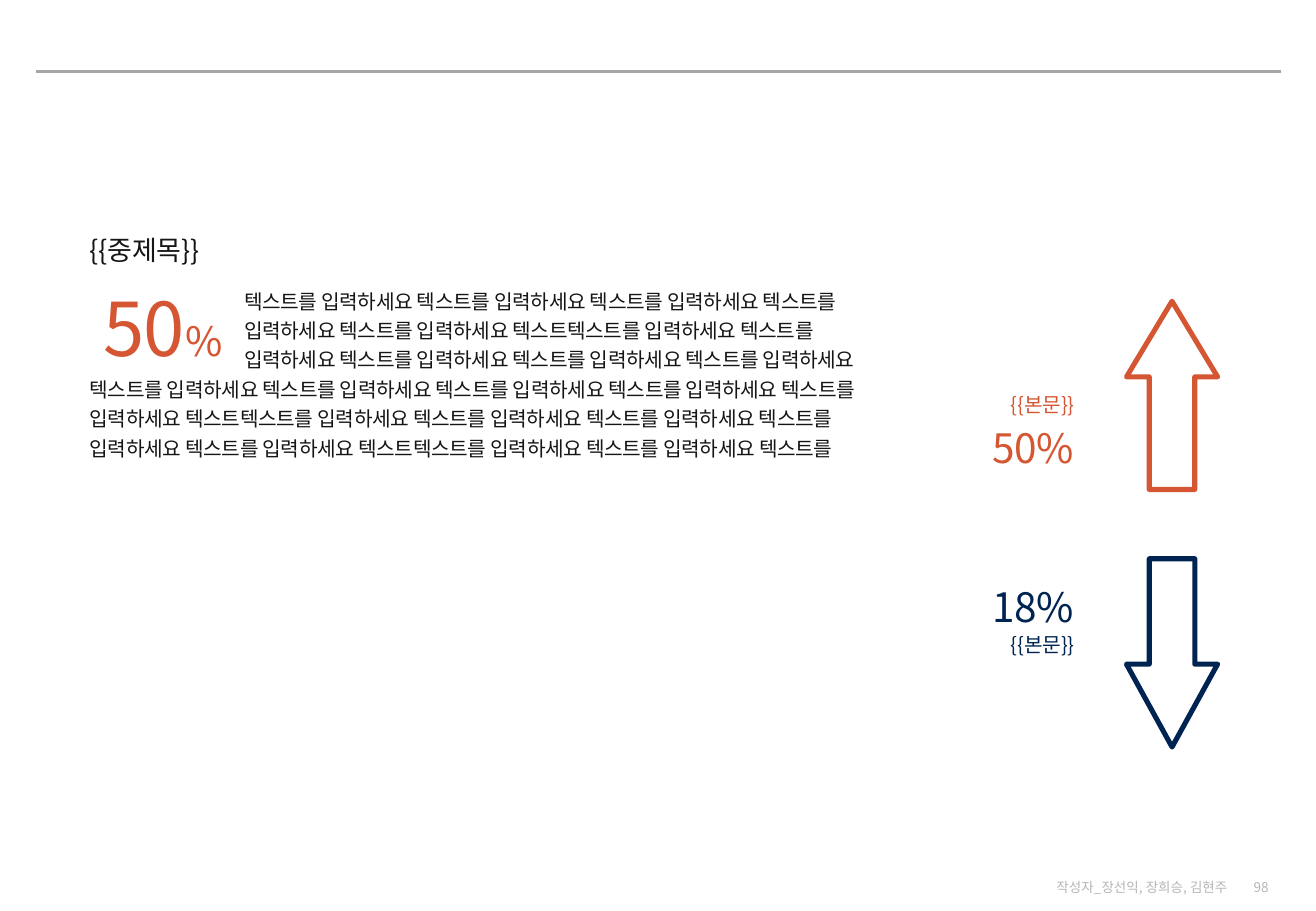
from lxml import etree
from pptx import Presentation
from pptx import util as u
from pptx.dml.color import RGBColor
from pptx.enum import shapes, text
from pptx.oxml.ns import qn

FONT = "Noto Sans CJK KR"
ORANGE, NAVY, INK = "D55633", "002452", "161516"
RULE_GREY, FOOTER_GREY = "A6A6A6", "B6B6B6"
LEFT, CENTER, RIGHT = text.PP_ALIGN.LEFT, text.PP_ALIGN.CENTER, text.PP_ALIGN.RIGHT
TOP, MIDDLE = text.MSO_ANCHOR.TOP, text.MSO_ANCHOR.MIDDLE

PHRASE = "텍스트를 입력하세요"
FIVE_PHRASES = " ".join([PHRASE] * 5)
LEAD_TEXT = f"{FIVE_PHRASES} 텍스트{FIVE_PHRASES}"
BODY_TEXT = f"{LEAD_TEXT} 텍스트{PHRASE} {PHRASE} 텍스트를"


def color(hex_value):
    return RGBColor.from_string(hex_value)


def inches(box):
    return [u.Inches(value) for value in box]


def add_text(slide, box, runs, hex_value, align=LEFT, anchor=TOP,
             line_spacing=1.2, tracking=-20, grow=True):
    """Add one paragraph; runs are (words, points), tracking is in 1/100 pt."""
    frame = slide.shapes.add_textbox(*inches(box)).text_frame
    frame.word_wrap = True
    frame.vertical_anchor = anchor
    frame.auto_size = (text.MSO_AUTO_SIZE.SHAPE_TO_FIT_TEXT if grow
                       else text.MSO_AUTO_SIZE.NONE)
    paragraph = frame.paragraphs[0]
    paragraph.alignment = align
    paragraph.line_spacing = line_spacing
    for words, points in runs:
        run = paragraph.add_run()
        run.text = words
        run.font.size = u.Pt(points)
        run.font.color.rgb = color(hex_value)
        run.font.name = FONT
        properties = run.font._element
        properties.set("spc", str(tracking))
        etree.SubElement(properties, qn("a:ea")).set("typeface", FONT)


def add_footer(slide, box, words):
    add_text(slide, box, [(words, 8)], FOOTER_GREY, RIGHT, MIDDLE,
             line_spacing=1.0, tracking=0, grow=False)


def add_rule(slide, left, right, top):
    rule = slide.shapes.add_connector(
        shapes.MSO_CONNECTOR.STRAIGHT, *inches((left, top, right, top)))
    rule.line.color.rgb = color(RULE_GREY)
    rule.line.width = u.Pt(0)
    etree.SubElement(rule._element.spPr, qn("a:effectLst"))


def add_arrow(slide, top, hex_value, head, rotation=0):
    arrow = slide.shapes.add_shape(
        shapes.MSO_SHAPE.UP_ARROW, *inches((9.27, top, 0.75, 1.55)))
    arrow.adjustments[0] = 0.5
    arrow.adjustments[1] = head
    arrow.rotation = rotation
    arrow.shadow.inherit = False
    arrow.fill.background()
    arrow.line.color.rgb = color(hex_value)
    arrow.line.width = u.Pt(3)


def add_figure(slide, figure, figure_top, label_top, hex_value):
    """Add a percentage with its label."""
    add_text(slide, (7.99, figure_top, 1.02, 0.58), [(figure, 24)],
             hex_value, CENTER, MIDDLE)
    add_text(slide, (7.27, label_top, 1.67, 0.34), [("{{본문}}", 12)],
             hex_value, RIGHT)


def main():
    presentation = Presentation()
    presentation.slide_width = u.Inches(10.83)
    presentation.slide_height = u.Inches(7.5)
    slide = presentation.slides.add_slide(presentation.slide_layouts[6])

    add_rule(slide, 0.3, 10.54, 0.59)
    add_footer(slide, (10.13, 7.22, 0.41, 0.16), "98")
    add_footer(slide, (8.52, 7.22, 1.68, 0.16), "작성자_장선익, 장희승, 김현주")

    add_arrow(slide, 2.48, ORANGE, head=0.83)
    add_arrow(slide, 4.6, NAVY, head=0.91, rotation=180)
    add_figure(slide, "50%", 3.35, 3.14, ORANGE)
    add_figure(slide, "18%", 4.66, 5.12, NAVY)

    add_text(slide, (0.64, 1.82, 2.75, 0.42), [("{{중제목}}", 16)], INK)
    add_text(slide, (0.72, 2.24, 1.24, 0.76), [("50", 44), ("%", 24)],
             ORANGE, CENTER, MIDDLE, grow=False)
    add_text(slide, (1.91, 2.29, 5.59, 0.82), [(LEAD_TEXT, 12)], INK)
    add_text(slide, (0.64, 3.02, 6.86, 1.06), [(BODY_TEXT, 12)], INK)

    presentation.save("out.pptx")


if __name__ == "__main__":
    main()
